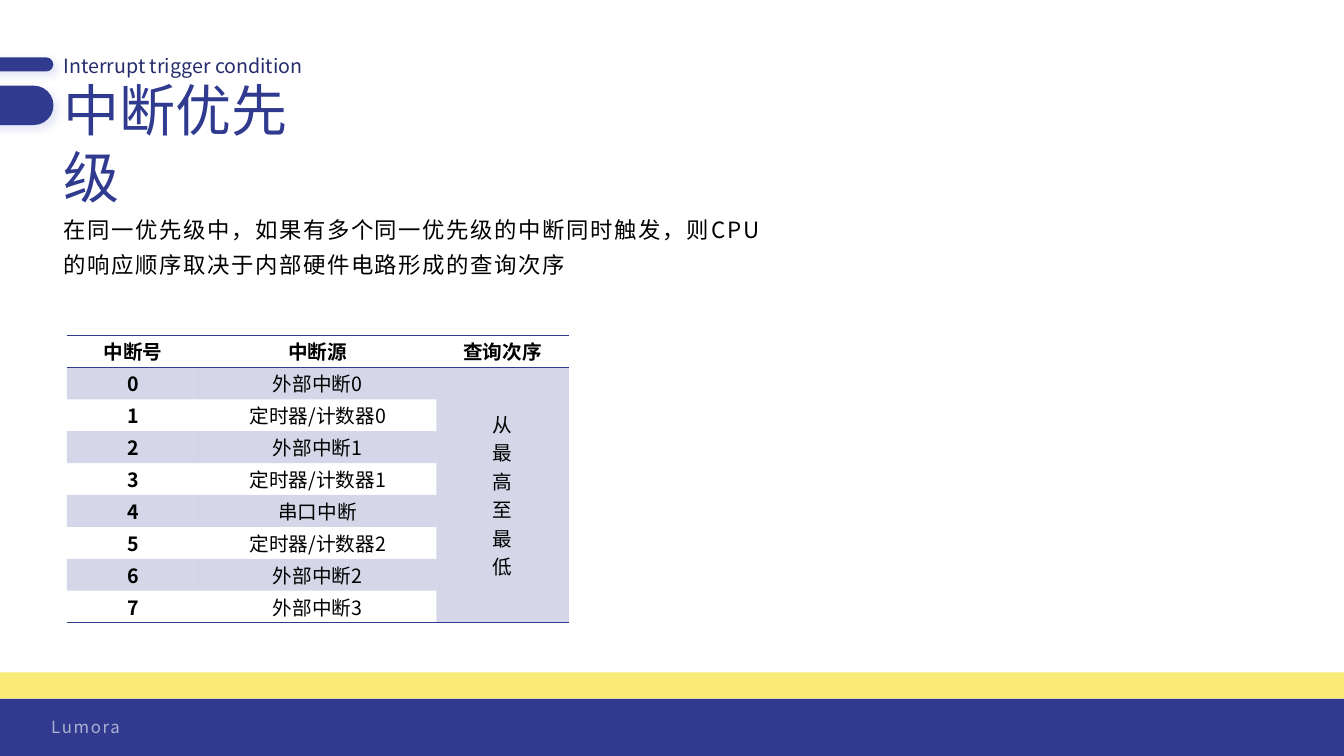
from lxml import etree
from pptx import Presentation
from pptx.dml.color import RGBColor
from pptx.enum import shapes, text
from pptx.oxml import parse_xml
from pptx.oxml.ns import qn
from pptx.util import Pt

BLUE = RGBColor(0x30, 0x3B, 0x8F)
NAVY = RGBColor(0x24, 0x2C, 0x6B)
GOLD = RGBColor(0xFA, 0xEA, 0x76)
PALE = RGBColor(0xAC, 0xB1, 0xD2)
BLACK = RGBColor(0, 0, 0)
FONT = "Noto Sans CJK JP"
NS = "http://schemas.openxmlformats.org/drawingml/2006/main"


def write(frame, words, size, color, bold=False, align=text.PP_ALIGN.LEFT,
          gap=0, lead=None):
    frame.text = words
    for para in frame.paragraphs:
        para.alignment = align
        if lead:
            para.line_spacing = lead
        for run in para.runs:
            font = run.font
            font.size, font.bold, font.name = Pt(size), bold, FONT
            font.color.rgb = color
            props = run._r.get_or_add_rPr()
            etree.SubElement(props, qn("a:ea")).set("typeface", FONT)
            if gap:
                props.set("spc", str(gap))


deck = Presentation()
deck.slide_width, deck.slide_height = Pt(960), Pt(540)
slide = deck.slides.add_slide(deck.slide_layouts[5])

ROUND = shapes.MSO_SHAPE.ROUNDED_RECTANGLE
RECT = shapes.MSO_SHAPE.RECTANGLE
for kind, left, top, width, height, color in (
        (ROUND, -23.8, 41, 61.9, 10.1, BLUE),
        (ROUND, -46.8, 61.2, 85, 28.1, BLUE),
        (RECT, 0, 499, 960, 41, BLUE),
        (RECT, 0, 480.2, 960, 18.8, GOLD)):
    bar = slide.shapes.add_shape(kind, Pt(left), Pt(top), Pt(width), Pt(height))
    bar.shadow.inherit = False
    bar.fill.solid()
    bar.fill.fore_color.rgb = color
    bar.line.fill.background()
    if kind == ROUND:
        bar.adjustments[0] = 0.5
        glow = bar._element.spPr.find(qn("a:effectLst"))
        glow.append(parse_xml(
            f'<a:outerShdw xmlns:a="{NS}" blurRad="{Pt(6)}" dist="{Pt(4)}" '
            'dir="2700000" algn="tl" rotWithShape="0"><a:srgbClr val="707BCF">'
            '<a:alpha val="20000"/></a:srgbClr></a:outerShdw>'))

title = slide.shapes.title
title.left, title.top, title.width, title.height = Pt(38.2), Pt(50.4), Pt(213), Pt(55.4)
title.text_frame.word_wrap = True
title.text_frame.auto_size = text.MSO_AUTO_SIZE.NONE
title.text_frame.vertical_anchor = text.MSO_ANCHOR.TOP
write(title.text_frame, "中断优先级", 40, BLUE, lead=Pt(48))

for words, left, top, width, height, style in (
        ("Interrupt trigger condition", 38.2, 34.6, 188.6, 24.5,
         dict(size=14, color=NAVY, lead=Pt(17))),
        ("Lumora", 29.5, 508.3, 67.7, 21.6,
         dict(size=12, color=PALE, gap=120, lead=Pt(14.5))),
        ("在同一优先级中，如果有多个同一优先级的中断同时触发，则CPU的响应顺序取决于内部硬件电路形成的查询次序",
         38.2, 144.7, 520.6, 56.2,
         dict(size=16, color=BLACK, gap=120, lead=Pt(25)))):
    box = slide.shapes.add_textbox(Pt(left), Pt(top), Pt(width), Pt(height))
    box.text_frame.word_wrap = True
    write(box.text_frame, words, **style)

names = ["外部中断0", "定时器/计数器0", "外部中断1", "定时器/计数器1",
         "串口中断", "定时器/计数器2", "外部中断2", "外部中断3"]
rows = [("中断号", "中断源", "查询次序")]
rows += [(str(num), name, "") for num, name in enumerate(names)]
rows[1] = (*rows[1][:2], "\v".join("从最高至最低"))
last = len(rows) - 1

grid = slide.shapes.add_table(len(rows), 3, Pt(47.7), Pt(239.6), Pt(358.6), Pt(205.2)).table
for col, width in zip(grid.columns, (94.4, 169.6, 94.6)):
    col.width = Pt(width)
for row in grid.rows:
    row.height = Pt(22.8)
grid.cell(1, 2).merge(grid.cell(last, 2))

for r, row in enumerate(rows):
    for c, words in enumerate(row):
        cell = grid.cell(r, c)
        cell.margin_left = cell.margin_right = Pt(5)
        cell.margin_top = cell.margin_bottom = 0
        cell.vertical_anchor = text.MSO_ANCHOR.MIDDLE
        write(cell.text_frame, words, 14, BLACK, bold=r == 0 or c == 0,
              align=text.PP_ALIGN.CENTER)
        props = cell._tc.get_or_add_tcPr()
        edges = {"lnL": False, "lnR": False, "lnT": r in (0, 1),
                 "lnB": r in (0, last) or (r, c) == (1, 2)}
        for edge, drawn in edges.items():
            paint = f'<a:solidFill><a:srgbClr val="{BLUE}"/></a:solidFill>' if drawn else "<a:noFill/>"
            props.append(parse_xml(f'<a:{edge} xmlns:a="{NS}" w="{Pt(1)}">{paint}</a:{edge}>'))
        if r % 2 or (r and c == 2):
            cell.fill.solid()
            cell.fill.fore_color.rgb = BLUE
            tint = props.find(qn("a:solidFill")).find(qn("a:srgbClr"))
            etree.SubElement(tint, qn("a:alpha")).set("val", "20000")
        else:
            cell.fill.background()

deck.save("out.pptx")
